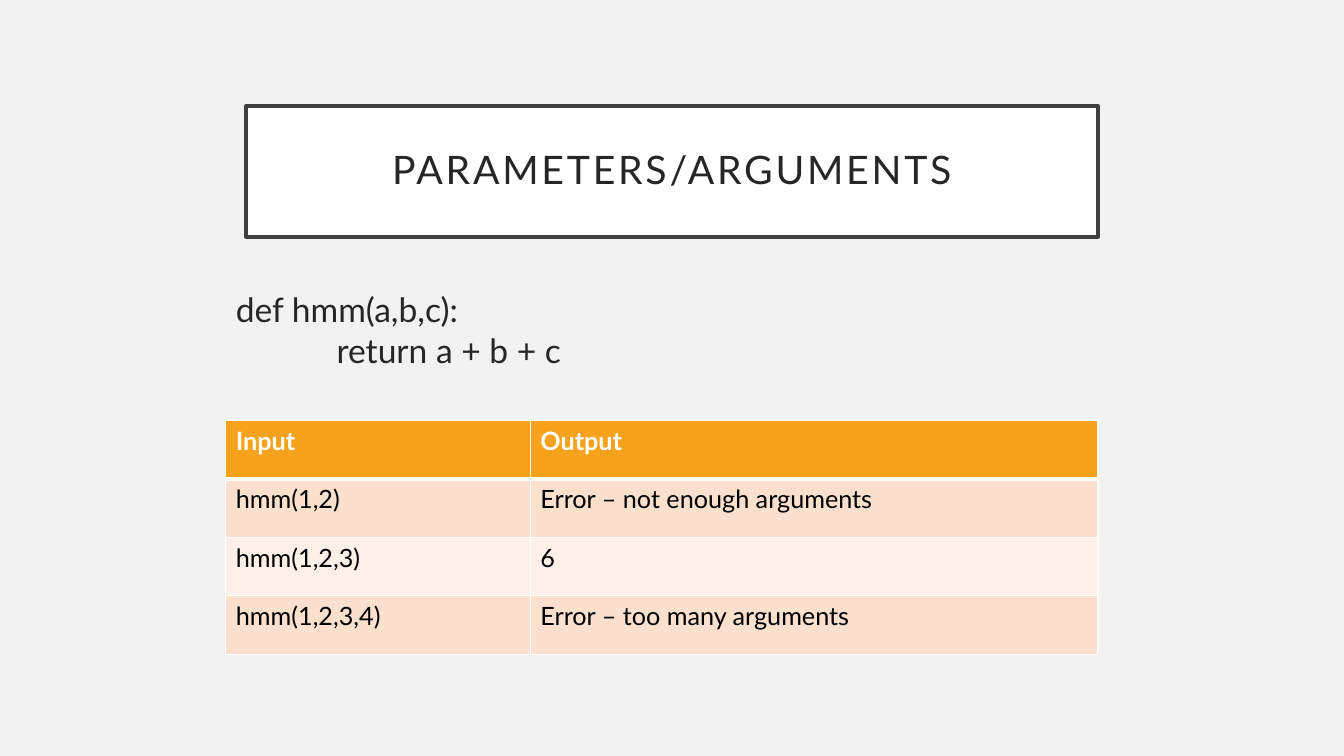
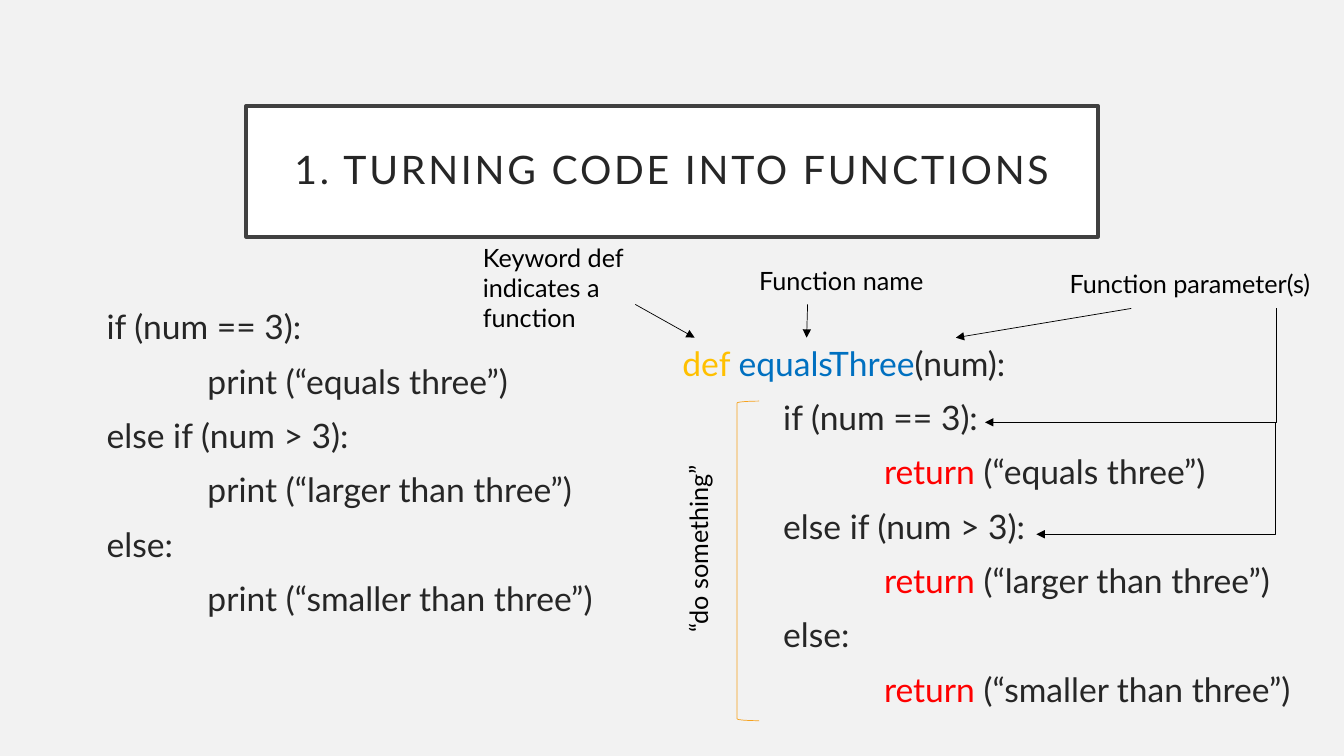
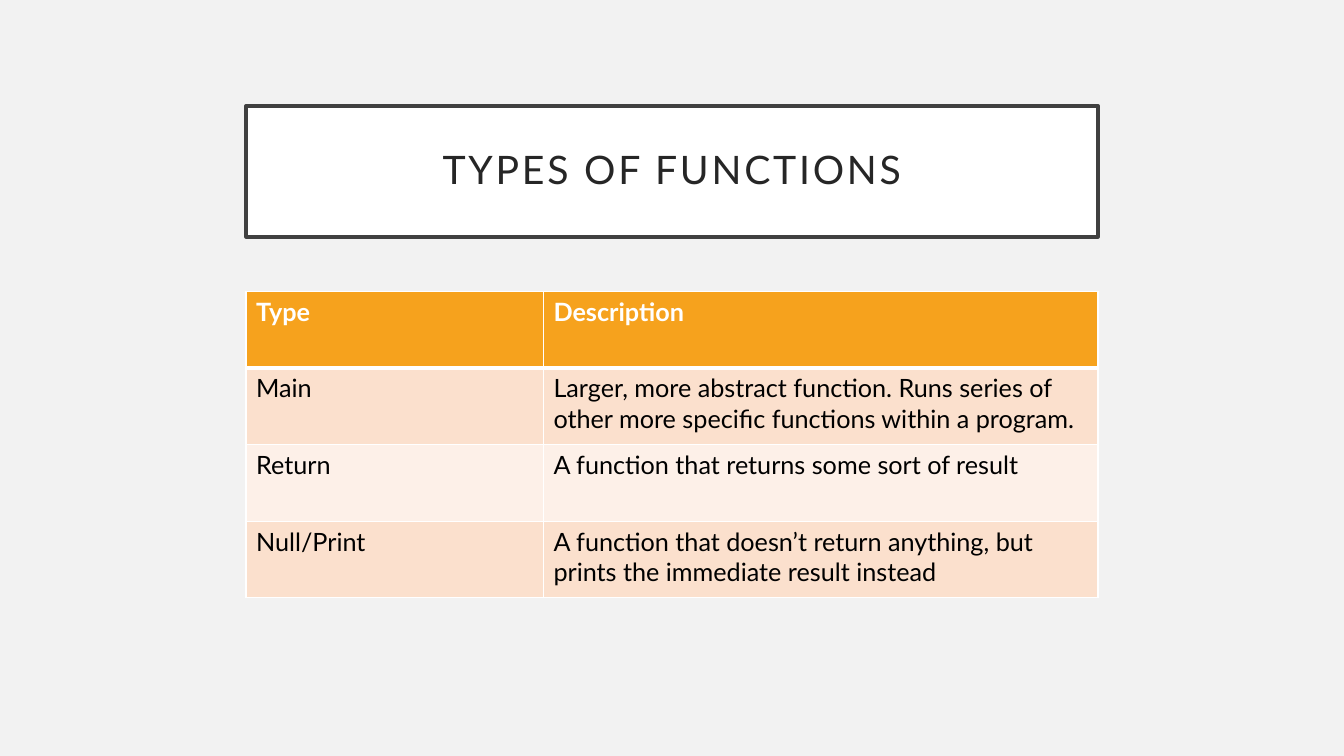
from dataclasses import dataclass

from lxml.etree import SubElement
from pptx import Presentation
from pptx.dml.color import RGBColor
from pptx.enum.shapes import MSO_CONNECTOR, MSO_SHAPE
from pptx.enum.text import MSO_ANCHOR, MSO_AUTO_SIZE, PP_ALIGN
from pptx.oxml.ns import qn
from pptx.slide import Slide
from pptx.util import Inches, Pt

FONT = "Lato"
PAPER = "F2F2F2"
WHITE = "FFFFFF"
BLACK = "000000"
FRAME = "404040"
INK = "262626"
ORANGE = "F6A21D"
BANDS = ("FBE0CD", "FDF0E8")
KEYWORD = "FFC000"
NAME = "0070C0"
RETURN = "FF0000"
TAB = 1


@dataclass
class Span:
    text: str
    color: str = INK


@dataclass
class CodeLine:
    level: int
    spans: list[Span]


@dataclass
class Label:
    text: str
    left: float
    top: float
    width: float
    height: float
    rotation: int = 0


@dataclass
class Arrow:
    start: tuple[float, float]
    end: tuple[float, float]
    bend: int | None = None


@dataclass
class Grid:
    left: float
    top: float
    columns: tuple[float, float]
    row_height: float
    rows: list[tuple[str, str]]


def rgb(color: str) -> RGBColor:
    return RGBColor.from_string(color)


def add_run(paragraph, text: str, size: float, color: str, bold: bool = False):
    run = paragraph.add_run()
    run.text = text
    run.font.name = FONT
    run.font.size = Pt(size)
    run.font.bold = bold
    run.font.color.rgb = rgb(color)
    return run


def add_titled_slide(deck, heading: str) -> Slide:
    slide = deck.slides.add_slide(deck.slide_layouts[5])
    title = slide.shapes.title
    title.left, title.top = Inches(2.44), Inches(1.05)
    title.width, title.height = Inches(8.45), Inches(1.3)
    title.fill.solid()
    title.fill.fore_color.rgb = rgb(WHITE)
    title.line.color.rgb = rgb(FRAME)
    title.line.width = Pt(2.5)
    frame = title.text_frame
    frame.word_wrap = True
    frame.auto_size = MSO_AUTO_SIZE.NONE
    frame.vertical_anchor = MSO_ANCHOR.MIDDLE
    frame.margin_left = frame.margin_right = Inches(0.2)
    frame.margin_top = frame.margin_bottom = Inches(0.2)
    paragraph = frame.paragraphs[0]
    paragraph.alignment = PP_ALIGN.CENTER
    paragraph.line_spacing = 0.9
    run = add_run(paragraph, heading, 28, INK)
    run.font._element.set("spc", "200")
    return slide


def add_code(slide: Slide, left: float, top: float, width: float, height: float,
             lines: list[CodeLine], space_before: float = 0) -> None:
    box = slide.shapes.add_textbox(Inches(left), Inches(top), Inches(width), Inches(height))
    frame = box.text_frame
    frame.word_wrap = True
    for index, line in enumerate(lines):
        paragraph = frame.add_paragraph() if index else frame.paragraphs[0]
        paragraph.space_before = Pt(space_before)
        paragraph._p.get_or_add_pPr().set("marL", str(Inches(line.level * TAB)))
        for span in line.spans:
            add_run(paragraph, span.text, 24, span.color)


def add_label(slide: Slide, label: Label) -> None:
    box = slide.shapes.add_textbox(Inches(label.left), Inches(label.top),
                                   Inches(label.width), Inches(label.height))
    box.rotation = label.rotation
    box.text_frame.word_wrap = True
    box.text_frame.auto_size = MSO_AUTO_SIZE.SHAPE_TO_FIT_TEXT
    add_run(box.text_frame.paragraphs[0], label.text, 18, BLACK)


def add_arrow(slide: Slide, arrow: Arrow) -> None:
    kind = MSO_CONNECTOR.STRAIGHT if arrow.bend is None else MSO_CONNECTOR.ELBOW
    connector = slide.shapes.add_connector(kind, *map(Inches, arrow.start + arrow.end))
    connector.line.color.rgb = rgb(BLACK)
    connector.line.width = Pt(0.5)
    properties = connector._element.spPr
    SubElement(properties.find(qn("a:ln")), qn("a:tailEnd"), type="triangle")
    SubElement(properties, qn("a:effectLst"))
    if arrow.bend is not None:
        adjustments = properties.find(qn("a:prstGeom")).find(qn("a:avLst"))
        SubElement(adjustments, qn("a:gd"), name="adj1", fmla=f"val {arrow.bend}")


def add_border(cell, side: str, points: float) -> None:
    border = SubElement(cell._tc.get_or_add_tcPr(), qn(f"a:ln{side}"), w=str(Pt(points)))
    SubElement(SubElement(border, qn("a:solidFill")), qn("a:srgbClr"), val=WHITE)


def add_grid(slide: Slide, grid: Grid) -> None:
    table = slide.shapes.add_table(
        len(grid.rows), len(grid.columns), Inches(grid.left), Inches(grid.top),
        Inches(sum(grid.columns)), Inches(grid.row_height * len(grid.rows))).table
    for column, width in zip(table.columns, grid.columns):
        column.width = Inches(width)
    for r, entries in enumerate(grid.rows):
        table.rows[r].height = Inches(grid.row_height)
        header = r == 0
        for c, entry in enumerate(entries):
            cell = table.cell(r, c)
            for side in "LRTB":
                under_header = (r, side) in ((0, "B"), (1, "T"))
                add_border(cell, side, 3 if under_header else 1)
            cell.fill.solid()
            cell.fill.fore_color.rgb = rgb(ORANGE if header else BANDS[(r - 1) % 2])
            add_run(cell.text_frame.paragraphs[0], entry, 18,
                    WHITE if header else BLACK, header)


def add_body_bracket(slide: Slide) -> None:
    bracket = slide.shapes.add_shape(MSO_SHAPE.LEFT_BRACKET, Inches(7.31), Inches(3.98),
                                     Inches(0.22), Inches(3.17))
    bracket.shadow.inherit = False
    bracket.fill.background()
    bracket.line.color.rgb = rgb(ORANGE)
    bracket.line.width = Pt(0.5)


def branches(level: int, action: Span) -> list[CodeLine]:
    lines = []
    for condition, result in (("if (num == 3):", "equals three"),
                              ("else if (num > 3):", "larger than three"),
                              ("else:", "smaller than three")):
        lines.append(CodeLine(level, [Span(condition)]))
        lines.append(CodeLine(level + 1, [action, Span(f"(“{result}”)")]))
    return lines


LABELS = [
    Label("Keyword def indicates a function", 4.69, 2.35, 2.19, 0.71),
    Label("Function name", 7.43, 2.58, 1.92, 0.4),
    Label("Function parameter(s)", 10.51, 2.61, 3.42, 0.4),
    Label("“do something”", 5.83, 5.08, 2.19, 0.4, 270),
]
ARROWS = [
    Arrow((6.3, 3.02), (6.89, 3.35)),
    Arrow((8.01, 3.02), (8, 3.35)),
    Arrow((11.22, 3.06), (9.48, 3.35)),
    Arrow((12.66, 3.06), (9.77, 4.19), 0),
    Arrow((12.66, 4.19), (10.28, 5.3), 400),
]
CALLS = Grid(2.24, 4.17, (3.02, 5.63), 0.58, [
    ("Input", "Output"),
    ("hmm(1,2)", "Error – not enough arguments"),
    ("hmm(1,2,3)", "6"),
    ("hmm(1,2,3,4)", "Error – too many arguments"),
])
TYPES = Grid(2.44, 2.89, (2.95, 5.5), 0.76, [
    ("Type", "Description"),
    ("Main", "Larger, more abstract function. Runs series of other more specific "
             "functions within a program."),
    ("Return", "A function that returns some sort of result"),
    ("Null/Print", "A function that doesn’t return anything, but prints the immediate "
                   "result instead"),
])


def main() -> None:
    deck = Presentation()
    deck.slide_width, deck.slide_height = Inches(13.33), Inches(7.5)
    background = deck.slide_master.background.fill
    background.solid()
    background.fore_color.rgb = rgb(PAPER)

    arguments = add_titled_slide(deck, "PARAMETERS/ARGUMENTS")
    add_code(arguments, 2.24, 2.82, 9.26, 3.39, [
        CodeLine(0, [Span("def hmm(a,b,c):")]),
        CodeLine(1, [Span("return a + b + c")]),
    ])
    add_grid(arguments, CALLS)

    turning = add_titled_slide(deck, "1. TURNING CODE INTO FUNCTIONS")
    signature = CodeLine(0, [Span("def ", KEYWORD), Span("equalsThree", NAME), Span("(num):")])
    add_code(turning, 6.67, 3.35, 7, 4.15,
             [signature, *branches(1, Span("return ", RETURN))], 10)
    add_code(turning, 0.96, 2.99, 7, 4.15, branches(0, Span("print ")), 10)
    for arrow in ARROWS:
        add_arrow(turning, arrow)
    add_body_bracket(turning)
    for label in LABELS:
        add_label(turning, label)

    add_grid(add_titled_slide(deck, "TYPES OF FUNCTIONS"), TYPES)
    deck.save("out.pptx")


main()
